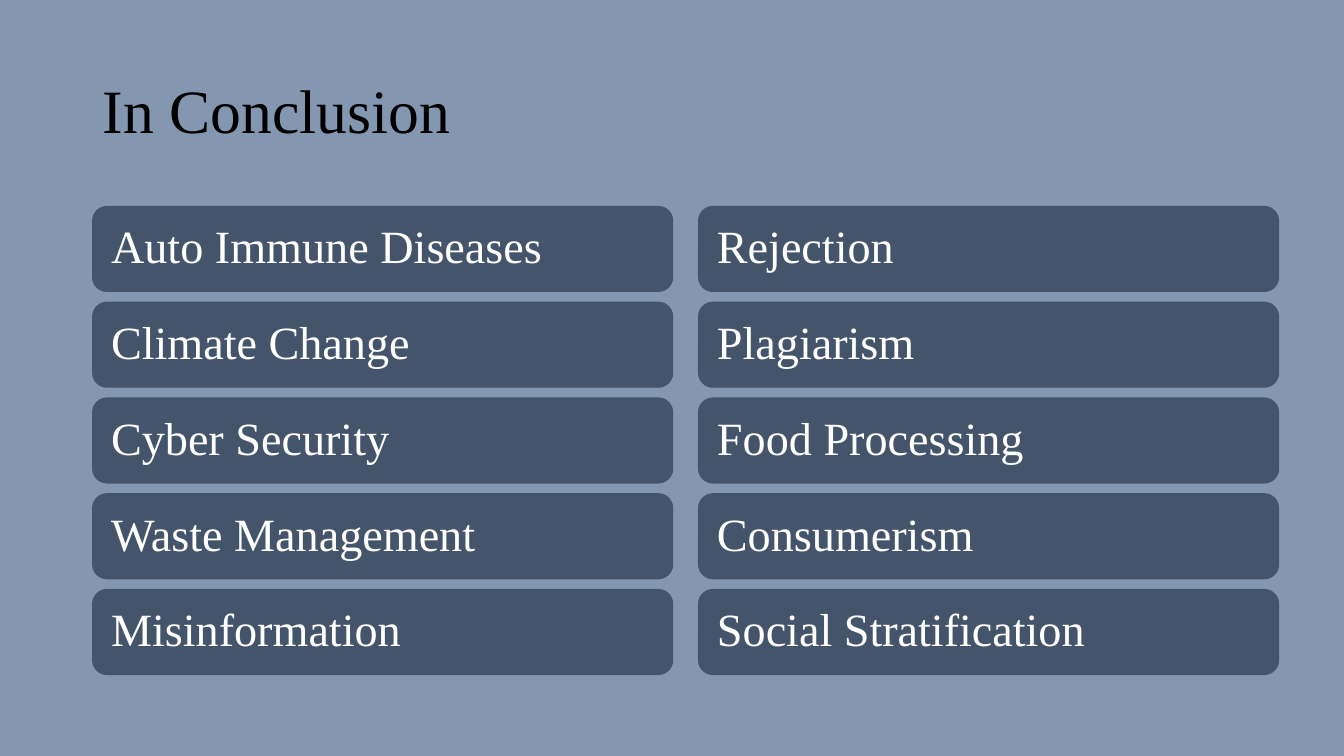
from pptx import Presentation
from pptx import util as u
from pptx.dml.color import RGBColor
from pptx.enum import shapes, text

COLORS = {"background": "8497B0", "card": "44546A", "title": "000000", "label": "FFFFFF"}
COLUMNS = [
    (0.92, ["Auto Immune Diseases", "Climate Change", "Cyber Security",
            "Waste Management", "Misinformation"]),
    (6.93, ["Rejection", "Plagiarism", "Food Processing",
            "Consumerism", "Social Stratification"]),
]
CARD_TOP, CARD_PITCH = 2.05, 0.95
CARD_WIDTH, CARD_HEIGHT = 5.75, 0.84


def rgb(name):
    return RGBColor.from_string(COLORS[name])


class SlideBuilder:
    font = "Times New Roman"

    def __init__(self, prs):
        self.s = prs.slides.add_slide(prs.slide_layouts[5])
        fill = self.s.background.fill
        fill.solid()
        fill.fore_color.rgb = rgb("background")

    def set_text(self, sp, wording, size, color, **frame):
        """Set one left-aligned line, centred vertically; frame holds text frame values."""
        tf = sp.text_frame
        frame = {"word_wrap": True, "auto_size": text.MSO_AUTO_SIZE.NONE,
                 "vertical_anchor": text.MSO_ANCHOR.MIDDLE, **frame}
        for name, value in frame.items():
            setattr(tf, name, value)
        p = tf.paragraphs[0]
        p.alignment, p.line_spacing = text.PP_ALIGN.LEFT, 0.9
        r = p.add_run()
        r.text = wording
        for name, value in {"name": self.font, "size": u.Pt(size)}.items():
            setattr(r.font, name, value)
        r.font.color.rgb = rgb(color)

    def title(self, wording, left, top, width, height):
        sp = self.s.shapes.title
        box = {"left": left, "top": top, "width": width, "height": height}
        for name, value in box.items():
            setattr(sp, name, u.Inches(value))
        self.set_text(sp, wording, 44, "title")

    def card(self, group, wording, *box):
        sp = group.shapes.add_shape(shapes.MSO_SHAPE.ROUNDED_RECTANGLE,
                                    *(u.Inches(v) for v in box))
        sp.shadow.inherit = False
        sp.fill.solid()
        sp.fill.fore_color.rgb = sp.line.color.rgb = rgb("card")
        sp.line.width = u.Pt(1)
        sides = ("left", "top", "right", "bottom")
        margins = {f"margin_{side}": u.Inches(0.14) for side in sides}
        self.set_text(sp, wording, 33, "label", **margins)

    def column(self, left, labels):
        group = self.s.shapes.add_group_shape()
        for i, label in enumerate(labels):
            self.card(group, label, left, CARD_TOP + i * CARD_PITCH,
                      CARD_WIDTH, CARD_HEIGHT)


def main():
    prs = Presentation()
    prs.slide_width, prs.slide_height = u.Inches(13.33), u.Inches(7.5)
    builder = SlideBuilder(prs)
    builder.title("In Conclusion", 0.92, 0.4, 11.5, 1.45)
    for left, labels in COLUMNS:
        builder.column(left, labels)
    prs.save("out.pptx")


if __name__ == "__main__":
    main()
